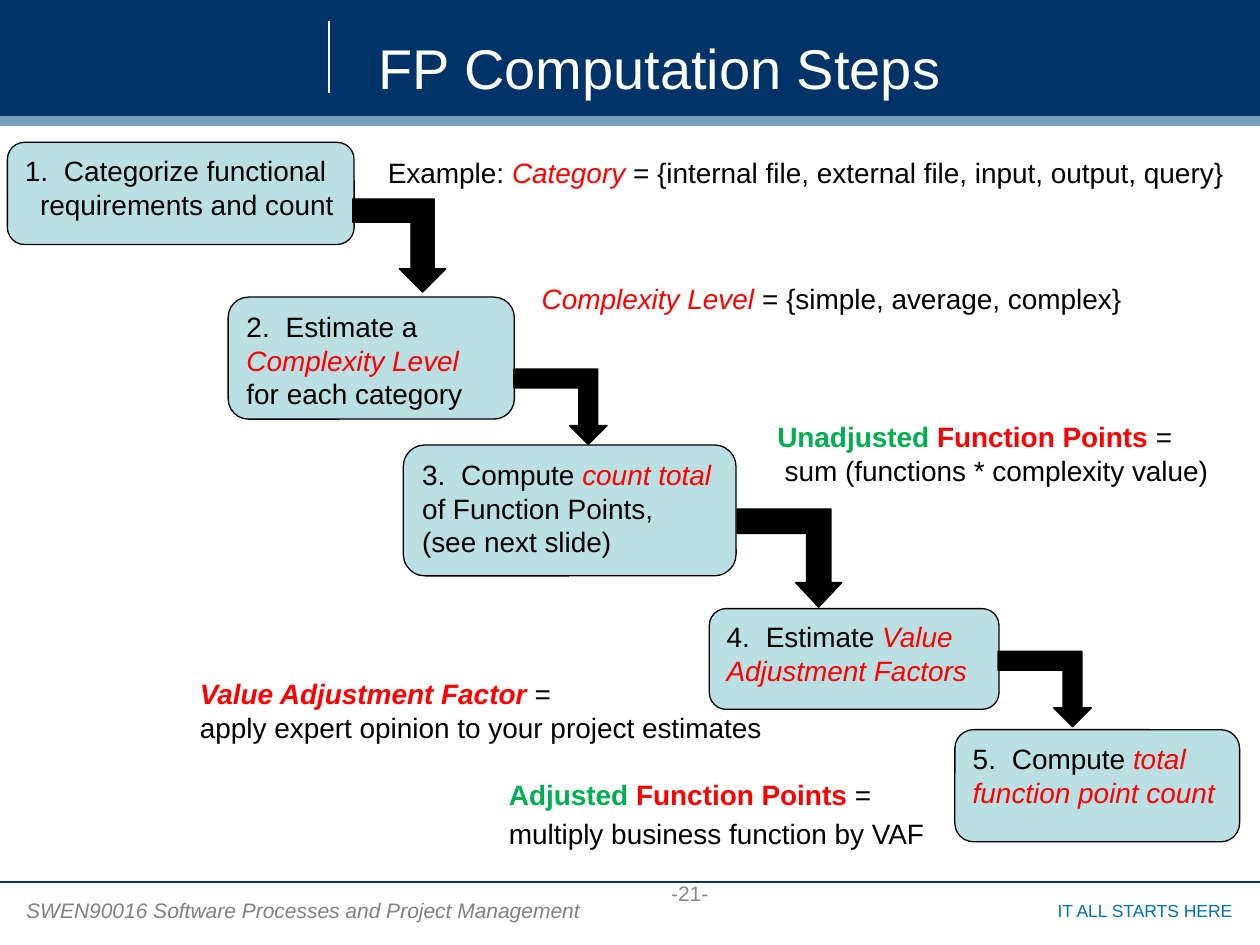
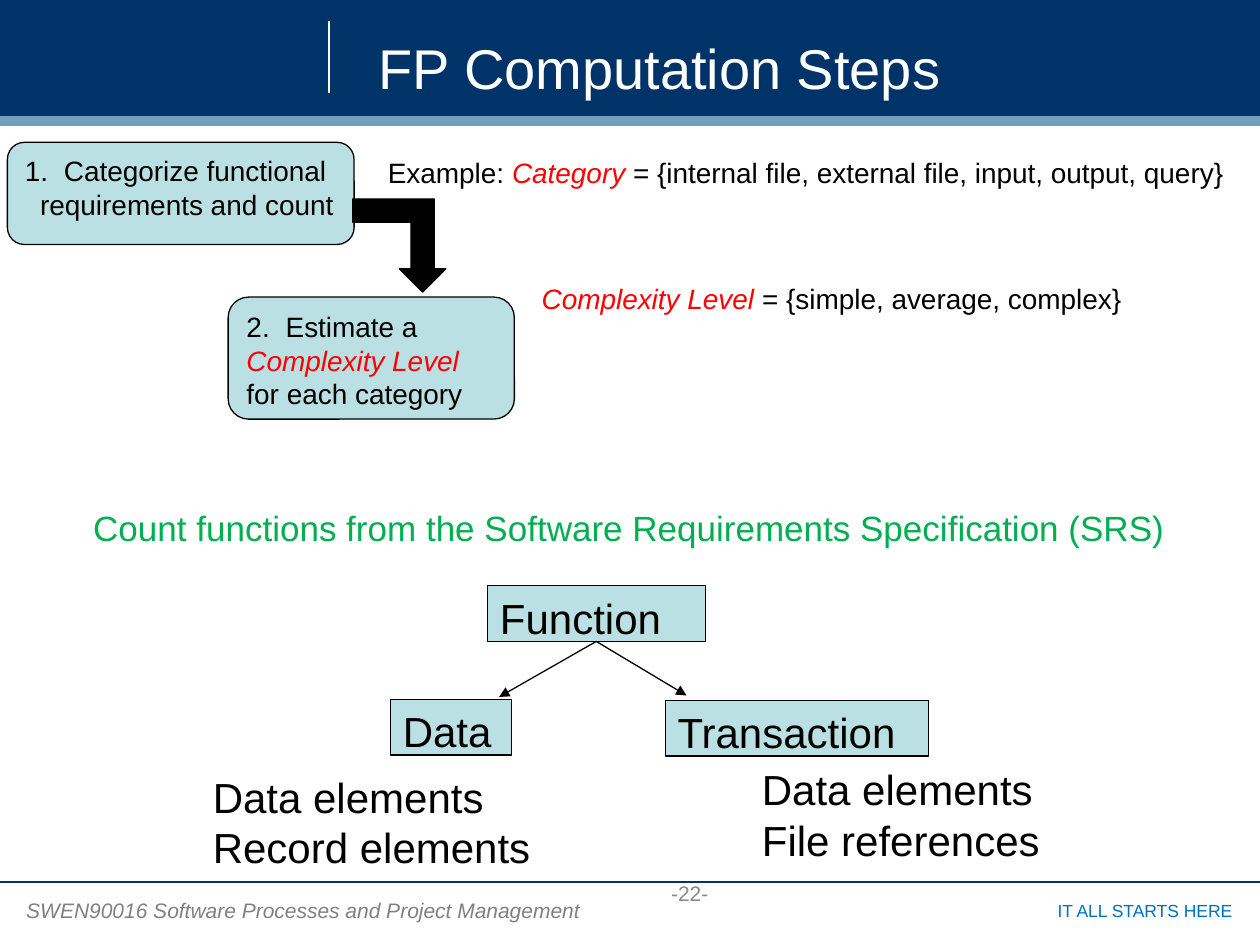
"""Build two slides on the steps of a function point computation."""
from dataclasses import dataclass

import pptx
import pptx.dml.color
import pptx.enum.shapes
import pptx.enum.text
import pptx.oxml.ns
import pptx.util
from lxml import etree

Cm = pptx.util.Cm
Shape = pptx.enum.shapes.MSO_SHAPE
Align = pptx.enum.text.PP_ALIGN
Anchor = pptx.enum.text.MSO_ANCHOR
qn = pptx.oxml.ns.qn

FONT = "Arial"
NAVY, STRIP, PALE = "003368", "759FB8", "BBE0E3"
BLACK, WHITE, RED, GREEN = "000000", "FFFFFF", "FF0000", "00B050"
NUMBER_TAB = 0.79

STYLES = {
    "plain": {},
    "term": {"color": RED, "italic": True},
    "key": {"color": RED, "bold": True},
    "kind": {"color": GREEN, "bold": True},
    "factor": {"color": RED, "bold": True, "italic": True},
    "goal": {"color": GREEN},
    "title": {"color": WHITE},
    "course": {"color": "808080", "italic": True},
    "motto": {"color": "0070C0"},
    "page": {"color": "888888"},
}


@dataclass
class Line:
    """One paragraph: (text, style) runs, left indent in cm and space before in points."""
    runs: list
    indent: float = 0
    gap: float = 0


def plain(text, indent=0, gap=0):
    """Return a line of unstyled text."""
    return Line([(text, "plain")], indent, gap)


STEPS = [
    ((0.15, 2.87, 6.99, 2.06),
     [plain("1.\tCategorize functional"), plain("requirements and count", 0.31)]),
    ((4.6, 5.99, 5.77, 2.46),
     [plain("2.\tEstimate a"), Line([("Complexity Level", "term")]),
      plain("for each category")]),
    ((8.13, 8.97, 6.71, 2.64),
     [Line([("3.\tCompute ", "plain"), ("count total ", "term"),
            ("of Function Points,", "plain")]),
      plain("(see next slide)")]),
    ((14.3, 12.27, 5.84, 2.03),
     [Line([("4.\tEstimate ", "plain"), ("Value Adjustment Factors", "term")])]),
    ((19.25, 14.71, 5.74, 2.26),
     [Line([("5.\tCompute ", "plain"), ("total function point count", "term")])]),
]

STEP_ARROWS = [
    ((7.11, 4.01, 1.88, 1.88), 0.25),
    ((10.36, 7.44, 1.88, 1.52), 0.25),
    ((14.86, 10.26, 2.11, 1.98), 0.235),
    ((20.12, 13.13, 1.88, 1.52), 0.25),
]

STEP_NOTES = [
    ((7.57, 3, 17.5, 1.27),
     [Line([("Example: ", "plain"), ("Category ", "term"),
            ("= {internal file, external file, input, output, query}", "plain")])]),
    ((10.67, 5.54, 12.7, 0.94),
     [Line([("Complexity Level ", "term"), ("= {simple, average, complex}", "plain")])]),
    ((15.42, 8.33, 9.63, 1.63),
     [Line([("Unadjusted", "kind"), (" Function Points ", "key"), ("=", "plain")]),
      plain("sum (functions * complexity value)", 0.15)]),
    ((3.78, 13.51, 12.07, 1.63),
     [Line([("Value Adjustment Factor ", "factor"), ("=", "plain")]),
      plain("apply expert opinion to your project estimates")]),
    ((10.01, 15.54, 9.12, 1.68),
     [Line([("Adjusted", "kind"), (" Function Points ", "key"), ("=", "plain")]),
      plain("multiply business function by VAF", gap=3.2)]),
]

FUNCTION_TREE = [
    ((9.83, 11.81, 4.39, 1.12), "Function"),
    ((7.87, 14.1, 2.44, 1.12), "Data"),
    ((13.41, 14.12, 5.31, 1.12), "Transaction"),
]
TREE_ROOT = (12.02, 12.93)
TREE_BRANCHES = [(10.06, 14.05), (13.84, 14.02)]
COUNTED_PARTS = [
    ((4.04, 15.42, 8.05, 2.31), ["Data elements", "Record elements"]),
    ((15.11, 15.27, 6.93, 2.31), ["Data elements", "File references"]),
]


def rgb(color):
    """Turn a hex string into a colour."""
    return pptx.dml.color.RGBColor.from_string(color)


def lengths(values):
    """Turn numbers in centimetres into lengths."""
    return [Cm(value) for value in values]


def apply_format(target, values):
    """Set each named attribute of the target."""
    for name, value in values.items():
        setattr(target, name, value)


def write_run(paragraph, text, style, size):
    """Add a run in one of the named styles."""
    run = paragraph.add_run()
    run.text = text
    values = {"name": FONT, "size": pptx.util.Pt(size), "bold": False,
              "italic": False, **STYLES[style]}
    color = values.pop("color", BLACK)
    apply_format(run.font, values)
    run.font.color.rgb = rgb(color)


def write_lines(frame, lines, size, align=Align.LEFT, anchor=Anchor.TOP, wrap=True):
    """Fill a text frame with lines."""
    apply_format(frame, {
        "word_wrap": wrap, "auto_size": pptx.enum.text.MSO_AUTO_SIZE.NONE,
        "vertical_anchor": anchor,
        "margin_left": Cm(0.25), "margin_right": Cm(0.25),
        "margin_top": Cm(0.13), "margin_bottom": Cm(0.13)})
    for index, line in enumerate(lines):
        paragraph = frame.add_paragraph() if index else frame.paragraphs[0]
        paragraph.alignment = align
        properties = paragraph._p.get_or_add_pPr()
        if line.indent:
            properties.set("marL", str(Cm(line.indent)))
        if "\t" in line.runs[0][0]:
            tabs = etree.SubElement(properties, qn("a:tabLst"))
            etree.SubElement(tabs, qn("a:tab"), pos=str(Cm(NUMBER_TAB)), algn="l")
        if line.gap:
            paragraph.space_before = pptx.util.Pt(line.gap)
        for text, style in line.runs:
            write_run(paragraph, text, style, size)


def add_text(slide, place, lines, size, **layout):
    """Add a text box."""
    box = slide.shapes.add_textbox(*lengths(place))
    write_lines(box.text_frame, lines, size, **layout)


def add_block(slide, kind, place, fill, outline=None):
    """Add a filled shape, outlined if a line colour is given."""
    block = slide.shapes.add_shape(kind, *lengths(place))
    block.shadow.inherit = False
    block.fill.solid()
    block.fill.fore_color.rgb = rgb(fill)
    if outline:
        block.line.color.rgb = rgb(outline)
        block.line.width = pptx.util.Pt(0.75)
    else:
        block.line.fill.background()
    return block


def add_line(slide, start, end, color, arrow=False):
    """Add a thin straight line, with an arrowhead at its end on request."""
    line = slide.shapes.add_connector(
        pptx.enum.shapes.MSO_CONNECTOR.STRAIGHT, *lengths(start + end))
    line.line.color.rgb = rgb(color)
    line.line.width = pptx.util.Pt(0.75)
    properties = line.element.spPr
    if arrow:
        etree.SubElement(properties.find(qn("a:ln")), qn("a:tailEnd"), type="triangle")
    etree.SubElement(properties, qn("a:effectLst"))


def add_step_arrow(slide, place, head_width):
    """Add a bent arrow that runs right and then down."""
    arrow = add_block(slide, Shape.BENT_UP_ARROW, place, BLACK, BLACK)
    arrow.rotation = 180
    arrow.element.spPr.find(qn("a:xfrm")).set("flipH", "1")
    arrow.adjustments[1] = head_width


def add_steps(slide, count):
    """Add the first steps with their notes and the arrows between them."""
    for place, lines in STEPS[:count]:
        step = add_block(slide, Shape.ROUNDED_RECTANGLE, place, PALE, BLACK)
        write_lines(step.text_frame, lines, 16)
    for place, head_width in STEP_ARROWS[:count - 1]:
        add_step_arrow(slide, place, head_width)
    for place, lines in STEP_NOTES[:count]:
        add_text(slide, place, lines, 16)


def add_function_tree(slide):
    """Add the split of functions into data and transactions."""
    for place, name in FUNCTION_TREE:
        node = add_block(slide, Shape.RECTANGLE, place, PALE, BLACK)
        write_lines(node.text_frame, [plain(name)], 24)
    for end in TREE_BRANCHES:
        add_line(slide, TREE_ROOT, end, BLACK, arrow=True)
    for place, parts in COUNTED_PARTS:
        add_text(slide, place, [plain(part) for part in parts], 24)


def add_framed_slide(deck, title_text, number):
    """Add a slide with the title band and the footer."""
    slide = deck.slides.add_slide(deck.slide_layouts[5])
    add_block(slide, Shape.RECTANGLE, (0, 0, 25.4, 2.34), NAVY)
    add_block(slide, Shape.RECTANGLE, (0, 2.34, 25.4, 0.2), STRIP)
    add_line(slide, (6.63, 0.43), (6.63, 1.88), WHITE)
    add_line(slide, (0, 17.78), (25.4, 17.78), NAVY)
    add_text(slide, (0.28, 17.96, 11.76, 0.76),
             [Line([("SWEN90016 Software Processes and Project Management", "course")])], 12)
    add_text(slide, (19.86, 18.01, 5.23, 0.69),
             [Line([("IT ALL STARTS HERE", "motto")])], 10, align=Align.RIGHT)
    add_text(slide, (10.08, 17.58, 7.65, 0.86),
             [Line([(f"-{number}-", "page")])], 12, align=Align.CENTER, anchor=Anchor.MIDDLE)
    title = slide.shapes.title
    apply_format(title, dict(zip(("left", "top", "width", "height"),
                                 lengths((7.37, 0.41, 15.74, 1.9)))))
    write_lines(title.text_frame, [Line([(title_text, "title")])], 32, anchor=Anchor.MIDDLE)
    title.element.getparent().append(title.element)
    return slide


def main():
    """Build and save the slides."""
    deck = pptx.Presentation()
    deck.slide_width, deck.slide_height = lengths((25.4, 19.05))

    overview = add_framed_slide(deck, "FP Computation Steps", 21)
    add_steps(overview, 5)

    counting = add_framed_slide(deck, "FP Computation Steps", 22)
    add_steps(counting, 2)
    add_text(counting, (1.63, 10.08, 22.28, 1.12),
             [Line([("Count functions from the Software Requirements Specification (SRS)",
                     "goal")])], 20, wrap=False)
    add_function_tree(counting)

    deck.save("out.pptx")


if __name__ == "__main__":
    main()
